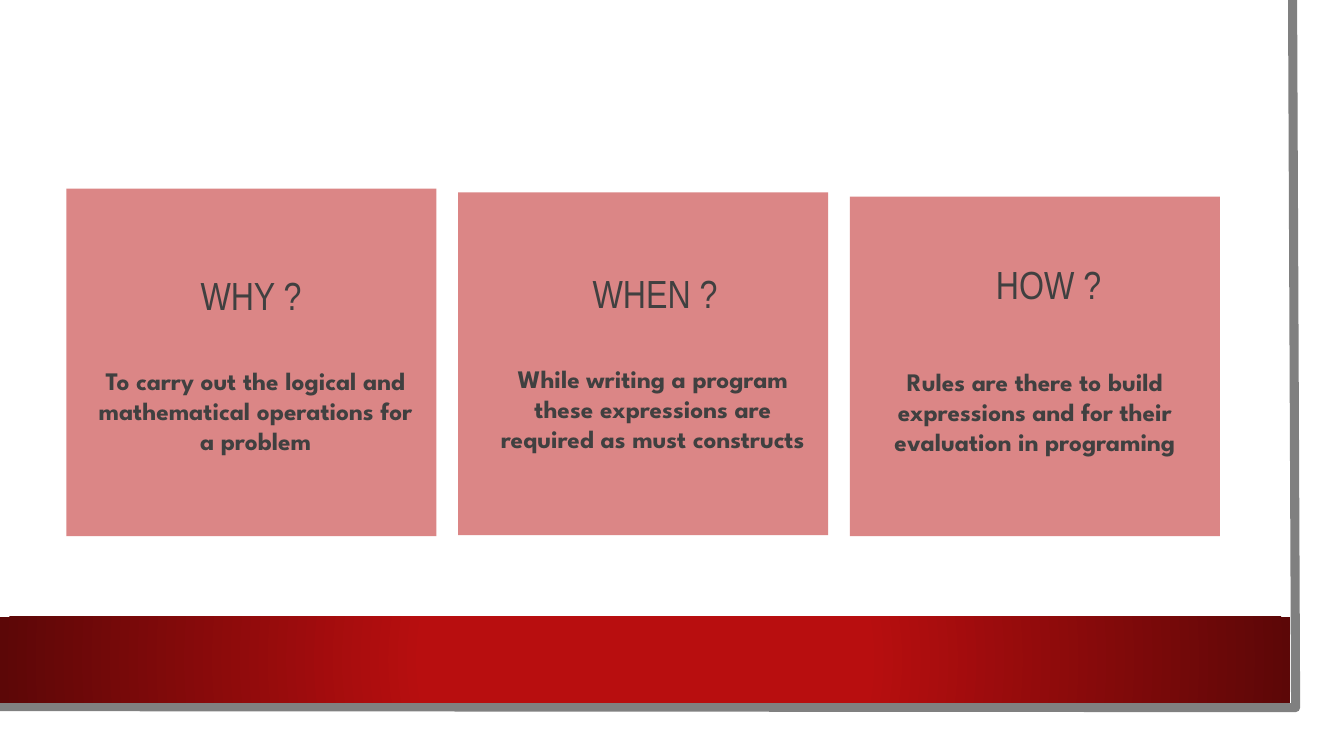
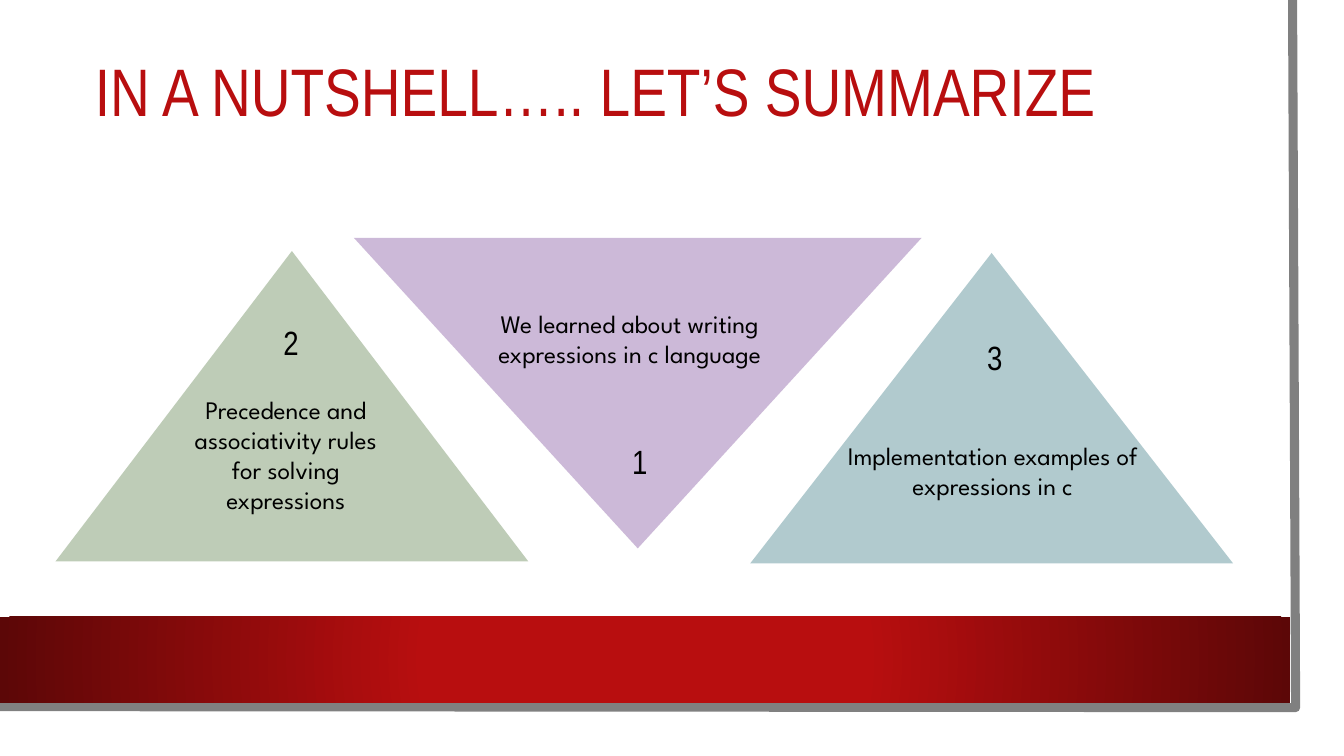
"""Build two slides on expressions: three question cards and a summary."""
from dataclasses import dataclass
from typing import NamedTuple

from lxml import etree
from pptx import Presentation
from pptx.dml.color import RGBColor
from pptx.enum.shapes import MSO_SHAPE
from pptx.enum.text import MSO_ANCHOR, MSO_AUTO_SIZE, PP_ALIGN
from pptx.oxml.ns import qn
from pptx.shapes.autoshape import Shape
from pptx.slide import Slide
from pptx.text.text import TextFrame
from pptx.util import Inches, Length, Pt

RECTANGLE = MSO_SHAPE.RECTANGLE
TRIANGLE = MSO_SHAPE.ISOSCELES_TRIANGLE
MIDDLE = MSO_ANCHOR.MIDDLE
GROW = MSO_AUTO_SIZE.SHAPE_TO_FIT_TEXT
LEFT, CENTER = PP_ALIGN.LEFT, PP_ALIGN.CENTER

WHITE = RGBColor(0xFF, 0xFF, 0xFF)
BLACK = RGBColor(0x00, 0x00, 0x00)
CHARCOAL = RGBColor(0x40, 0x40, 0x40)
EDGE_GRAY = RGBColor(0x80, 0x80, 0x80)
RED = RGBColor(0xB8, 0x0E, 0x0F)
DARK_RED = RGBColor(0x5C, 0x07, 0x07)
GREEN = RGBColor(0x7F, 0x9A, 0x71)
PURPLE = RGBColor(0x9B, 0x75, 0xB2)
TEAL = RGBColor(0x64, 0x96, 0x9F)

HEADING_FONT, BODY_FONT = "Arial Narrow", "League Spartan"
CARD_LEFT, CARD_PITCH, CARD_WIDTH = 0.66, 3.885, 3.67
CARD_TOP, CARD_STEP = 1.87, 0.04
TRIANGLE_HEIGHT = 3.08


class Box(NamedTuple):
    """Position and size in inches."""

    left: float
    top: float
    width: float
    height: float

    def lengths(self) -> list[Length]:
        """Return the four values as lengths."""
        return [Inches(value) for value in self]


@dataclass(frozen=True)
class TextStyle:
    """Font values, colour and alignment of a text."""

    font: dict
    color: RGBColor
    alignment: PP_ALIGN = CENTER


@dataclass(frozen=True)
class Card:
    """A question with its answer on a translucent square."""

    question: str
    answer: str
    height: float
    question_at: tuple[float, float]
    answer_box: Box


@dataclass(frozen=True)
class Point:
    """A numbered summary point on a translucent triangle."""

    number: str
    summary: str
    color: RGBColor
    triangle_box: Box
    number_at: tuple[float, float]
    summary_box: Box
    rotation: int = 0


TITLE = TextStyle({"name": HEADING_FONT, "size": Pt(48)}, RED, LEFT)
QUESTION = TextStyle({"name": HEADING_FONT, "size": Pt(28)}, CHARCOAL, LEFT)
ANSWER = TextStyle({"name": BODY_FONT, "size": Pt(18), "bold": True}, CHARCOAL)
NUMBER = TextStyle({"name": HEADING_FONT, "size": Pt(24)}, BLACK)
SUMMARY = TextStyle({"name": BODY_FONT, "size": Pt(18)}, BLACK)

CARDS = [
    Card("WHY ?", "To carry out the logical and mathematical operations for a problem",
         3.45, (1.89, 2.64), Box(0.87, 3.57, 3.33, 1.01)),
    Card("WHEN ?", "While writing a program these expressions are required as must constructs",
         3.4, (5.78, 2.62), Box(4.81, 3.55, 3.33, 1.31)),
    Card("HOW ?", "Rules are there to build expressions and for their evaluation in programing",
         3.37, (9.78, 2.53), Box(8.6, 3.58, 3.33, 1.01)),
]
POINTS = [
    Point("2", "Precedence and associativity rules for solving expressions", GREEN,
          Box(0.55, 2.49, 4.69, TRIANGLE_HEIGHT), (2.59, 3.14), Box(1.76, 3.86, 2.15, 1.62)),
    Point("1", "We learned about writing expressions in c language", PURPLE,
          Box(3.51, 2.36, 5.63, TRIANGLE_HEIGHT), (6.05, 4.33), Box(4.62, 3.01, 3.25, 1.01), 180),
    Point("3", "Implementation examples of expressions in c", TEAL,
          Box(7.44, 2.51, 4.79, TRIANGLE_HEIGHT), (9.57, 3.29), Box(8.22, 4.32, 3.25, 1.01)),
]


def write_text(frame: TextFrame, text: str, style: TextStyle) -> None:
    """Put one styled paragraph into a text frame."""
    frame.word_wrap = True
    paragraph = frame.paragraphs[0]
    paragraph.alignment = style.alignment
    run = paragraph.add_run()
    run.text = text
    for attribute, value in style.font.items():
        setattr(run.font, attribute, value)
    run.font.color.rgb = style.color


def add_label(slide: Slide, text: str, box: Box, style: TextStyle) -> None:
    """Add a text box that grows with its text."""
    frame = slide.shapes.add_textbox(*box.lengths()).text_frame
    write_text(frame, text, style)
    frame.auto_size = GROW


def add_panel(slide: Slide, kind: MSO_SHAPE, box: Box, color: RGBColor,
              opacity: int = 100) -> Shape:
    """Add a filled shape without outline or shadow."""
    panel = slide.shapes.add_shape(kind, *box.lengths())
    panel.shadow.inherit = False
    panel.line.fill.background()
    panel.fill.solid()
    panel.fill.fore_color.rgb = color
    if opacity < 100:
        tint = panel.element.spPr.find(qn("a:solidFill")).find(qn("a:srgbClr"))
        etree.SubElement(tint, qn("a:alpha"), val=str(opacity * 1000))
    return panel


def add_frame(slide: Slide) -> None:
    """Draw the page, its gray edge and the red band."""
    add_panel(slide, RECTANGLE, Box(0, 0, 13.1, 7.27), WHITE)

    builder = slide.shapes.build_freeform(Inches(12.82), Inches(0))
    corners = [(12.85, 7.02), (-0.03, 7.01)]
    builder.add_line_segments([(Inches(x), Inches(y)) for x, y in corners], close=False)
    edge = builder.convert_to_shape()
    edge.shadow.inherit = False
    edge.fill.background()
    edge.line.color.rgb = EDGE_GRAY
    edge.line.width = Pt(6.5)

    band = add_panel(slide, RECTANGLE, Box(0, 6.12, 12.8, 0.85), RED)
    band.fill.gradient()
    stops = [(0.34, RED), (1, DARK_RED)]
    for stop, (position, color) in zip(band.fill.gradient_stops, stops):
        stop.position = position
        stop.color.rgb = color
    gradient = band.element.spPr.find(qn("a:gradFill"))
    gradient.remove(gradient.find(qn("a:lin")))
    circle = etree.SubElement(gradient, qn("a:path"), path="circle")
    etree.SubElement(circle, qn("a:fillToRect"), dict.fromkeys("ltrb", "50000"))


def build_questions(slide: Slide) -> None:
    """Draw the three question cards."""
    add_frame(slide)
    for index, card in enumerate(CARDS):
        square = Box(CARD_LEFT + index * CARD_PITCH, CARD_TOP + index * CARD_STEP,
                     CARD_WIDTH, card.height)
        add_panel(slide, RECTANGLE, square, RED, 50)
        add_label(slide, card.question, Box(*card.question_at, 2.55, 0.57), QUESTION)
        add_label(slide, card.answer, card.answer_box, ANSWER)


def build_summary(slide: Slide) -> None:
    """Draw the title and the three summary triangles."""
    add_frame(slide)
    title = slide.shapes.title
    title.left, title.top, title.width, title.height = Box(0.84, 0.31, 11.37, 1.26).lengths()
    write_text(title.text_frame, "IN A NUTSHELL….. LET’S SUMMARIZE", TITLE)
    title.text_frame.vertical_anchor = MIDDLE
    title.text_frame.paragraphs[0].line_spacing = 0.9
    slide.shapes.element.append(title.element)
    for point in POINTS:
        triangle = add_panel(slide, TRIANGLE, point.triangle_box, point.color, 50)
        triangle.rotation = point.rotation
    for point in POINTS:
        add_label(slide, point.summary, point.summary_box, SUMMARY)
        add_label(slide, point.number, Box(*point.number_at, 0.59, 0.5), NUMBER)


def main() -> None:
    """Build and save the presentation."""
    deck = Presentation()
    deck.slide_width, deck.slide_height = Inches(13.33), Inches(7.5)
    title_only, blank = deck.slide_layouts[5], deck.slide_layouts[6]
    build_questions(deck.slides.add_slide(blank))
    build_summary(deck.slides.add_slide(title_only))
    deck.save("out.pptx")


if __name__ == "__main__":
    main()
